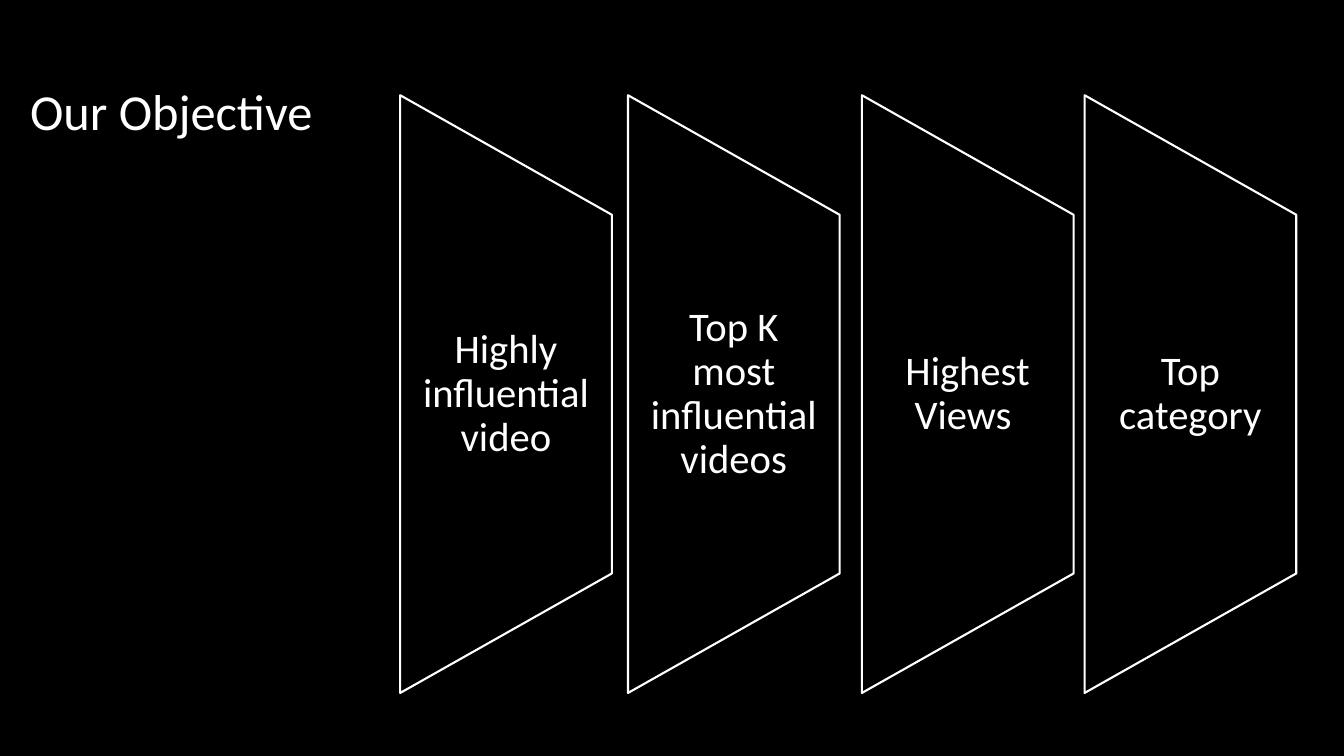
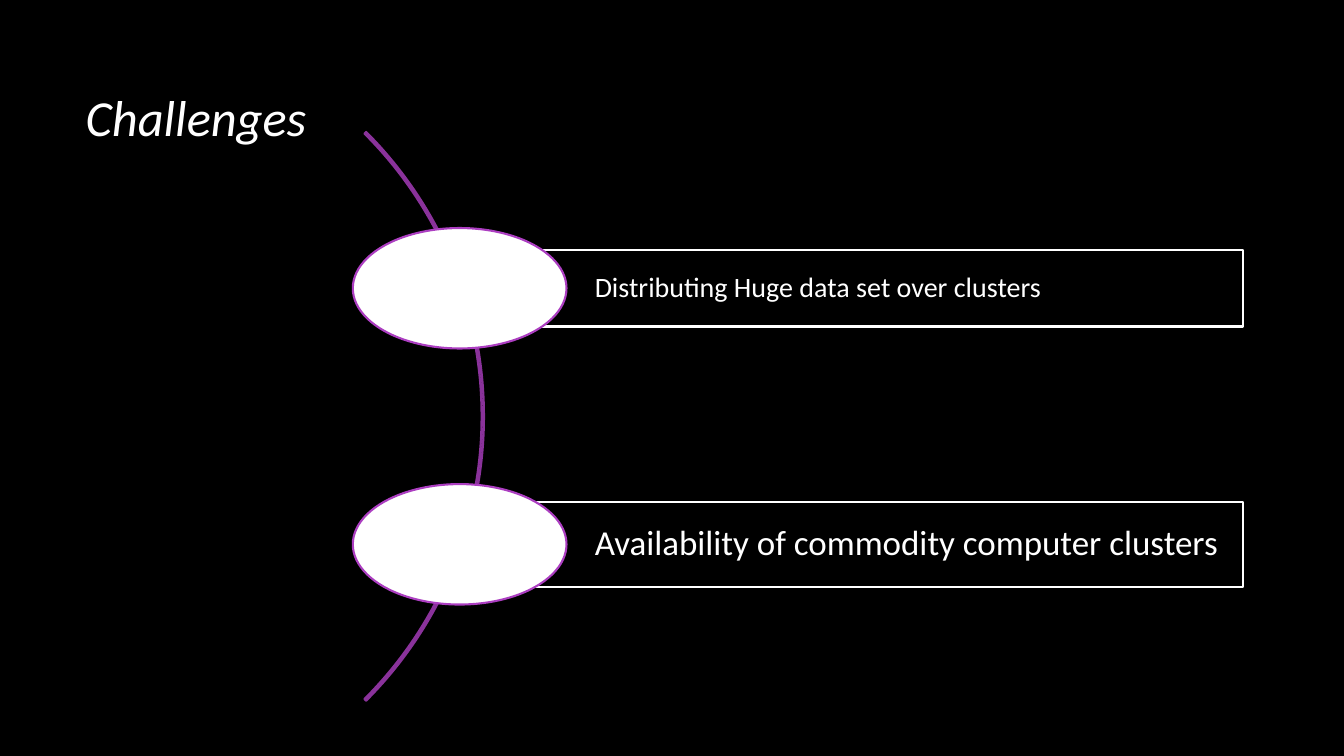
"""Build two black slides: an objective in four panels and two challenges on an arc."""
from pptx import Presentation
from pptx.dml.color import RGBColor
from pptx.enum.shapes import MSO_SHAPE
from pptx.enum.text import MSO_ANCHOR, PP_ALIGN
from pptx.util import Inches, Pt

BLACK, WHITE, ARC_PURPLE, RIM_PURPLE = "000000", "FFFFFF", "8A329B", "AC3EC1"

deck = Presentation()
deck.slide_width, deck.slide_height = Inches(13.33), Inches(7.5)
COL, ROW = deck.slide_width / 100, deck.slide_height / 100
TITLE_SIZE = (83.1 * COL, 21.2 * ROW)
TITLE_FONT = {"size": Pt(36)}


def draw(slide, preset, centre, size, line, fill=None):
    """Add a shape around its centre, with an outline and an optional fill."""
    width, height = map(int, size)
    left, top = int(centre[0] - width / 2), int(centre[1] - height / 2)
    shape = slide.shapes.add_shape(preset, left, top, width, height)
    shape.shadow.inherit = False
    shape.line.color.rgb = RGBColor.from_string(line)
    shape.line.width = Pt(1.5)
    if fill:
        shape.fill.solid()
        shape.fill.fore_color.rgb = RGBColor.from_string(fill)
    else:
        shape.fill.background()
    return shape


def write(holder, text, font, frame=None, align=PP_ALIGN.LEFT):
    """Put one white Calibri paragraph into a shape or text box."""
    body = holder.text_frame
    paragraph = body.paragraphs[0]
    run = paragraph.add_run()
    run.text = text
    run.font.color.rgb = RGBColor.from_string(WHITE)
    formats = (
        (body, {"word_wrap": True, "vertical_anchor": MSO_ANCHOR.MIDDLE, **(frame or {})}),
        (paragraph, {"alignment": align, "line_spacing": 0.9}),
        (run.font, {"name": "Calibri", **font}),
    )
    for target, values in formats:
        for attribute, value in values.items():
            setattr(target, attribute, value)


slides = []
for title, left, top, font, frame in (
    ("Our Objective", 1.5, 4.53, TITLE_FONT, {}),
    ("Challenges", 5.63, 8.93, {**TITLE_FONT, "italic": True}, {"margin_bottom": Inches(0.6)}),
):
    slide = deck.slides.add_slide(deck.slide_layouts[6])
    slide.background.fill.solid()
    slide.background.fill.fore_color.rgb = RGBColor.from_string(BLACK)
    heading = slide.shapes.add_textbox(*map(int, (left * COL, top * ROW, *TITLE_SIZE)))
    write(heading, title, font, frame)
    slides.append(slide)
objective, challenges = slides

PANEL_WIDTH, PANEL_HEIGHT = 15.75 * COL, 79.07 * ROW
PANEL_MIDDLE, LABEL_HEIGHT = 52.13 * ROW, 47.47 * ROW
LABEL_FRAME = {
    "margin_left": Inches(0.2), "margin_right": Inches(0.2),
    "margin_top": 0, "margin_bottom": 0,
}
for goal, column in (
    ("Highly influential video", 37.65),
    ("Top K most influential videos", 54.6),
    ("Highest Views ", 72),
    ("Top category", 88.57),
):
    centre = (column * COL, PANEL_MIDDLE)
    panel = draw(objective, MSO_SHAPE.FLOWCHART_MANUAL_OPERATION, centre,
                 (PANEL_HEIGHT, PANEL_WIDTH), WHITE)
    panel.rotation = 270
    label = objective.shapes.add_textbox(*map(int, (
        centre[0] - PANEL_WIDTH / 2, PANEL_MIDDLE - LABEL_HEIGHT / 2,
        PANEL_WIDTH, LABEL_HEIGHT)))
    write(label, goal, {"size": Pt(29)}, LABEL_FRAME, PP_ALIGN.CENTER)

ARC_SIZE = 106.4 * ROW
arc = draw(challenges, MSO_SHAPE.BLOCK_ARC, (6.08 * COL, 55.07 * ROW),
           (ARC_SIZE, ARC_SIZE), ARC_PURPLE)
for index, value in enumerate((189, 27, 0.003)):
    arc.adjustments[index] = value

BAR_LEFT, BAR_WIDTH = 34.2 * COL, 58.28 * COL
BAR_FRAME = {"margin_left": int(10.05 * COL), "margin_right": Inches(0.06)}
for challenge, row, bar_height, size in (
    ("Distributing Huge data set over clusters", 38.13, 10.13, 20),
    ("Availability of commodity computer clusters", 72, 11.2, 25),
):
    middle = row * ROW
    bar = draw(challenges, MSO_SHAPE.RECTANGLE, (BAR_LEFT + BAR_WIDTH / 2, middle),
               (BAR_WIDTH, bar_height * ROW), WHITE)
    write(bar, challenge, {"size": Pt(size)}, BAR_FRAME)
    draw(challenges, MSO_SHAPE.OVAL, (BAR_LEFT, middle),
         (15.9 * COL, 15.93 * ROW), RIM_PURPLE, WHITE)

deck.save("out.pptx")
